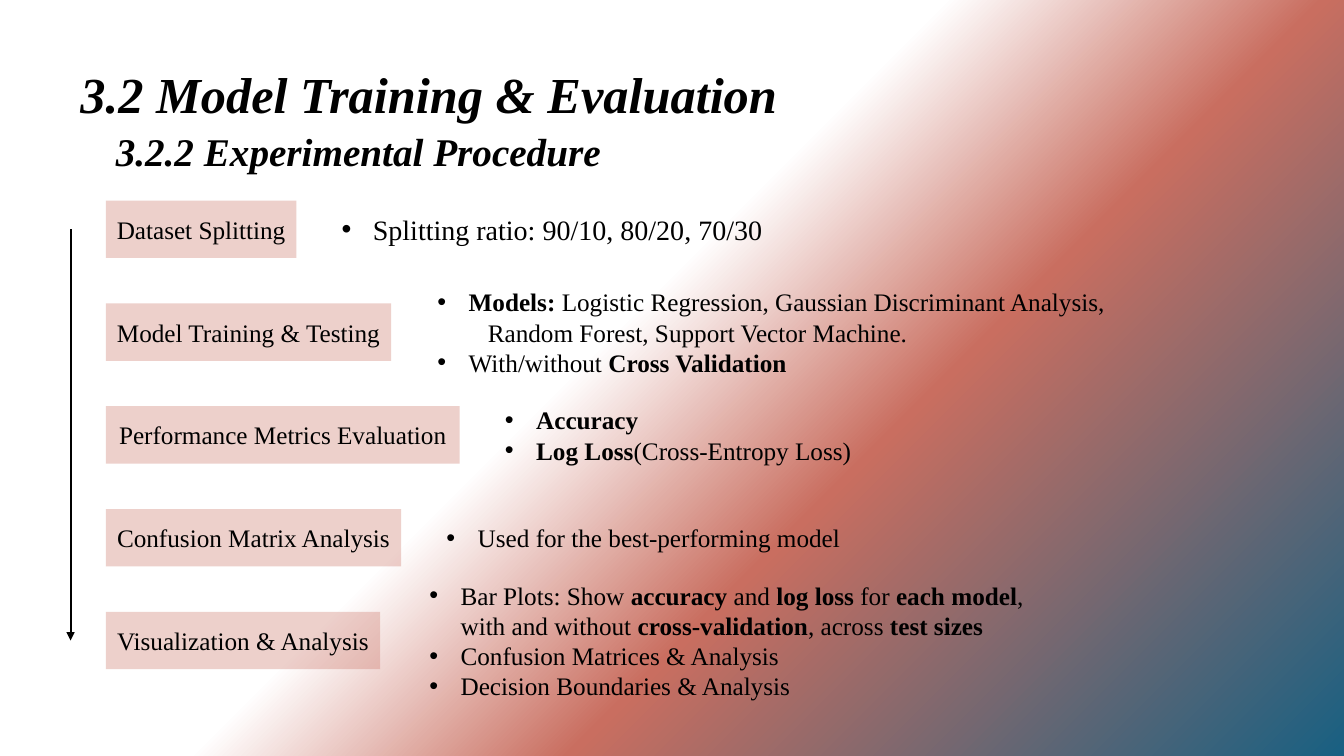
from pptx import Presentation
from pptx.dml.color import RGBColor
from pptx.enum.shapes import MSO_CONNECTOR as Connector, MSO_SHAPE as Shape
from pptx.enum.text import MSO_ANCHOR as Anchor, MSO_AUTO_SIZE as AutoSize, PP_ALIGN as Align
from pptx.oxml import parse_xml
from pptx.oxml.ns import nsdecls, qn
from pptx.util import Inches, Pt
from lxml.etree import SubElement

COLORS = {"ink": "000000", "white": "FFFFFF", "coral": "C96E60", "blue": "186082"}
FONT = "Times New Roman"
GRADIENT = [(45, "white", 100), (63, "coral", 31), (100, "blue", 52)]
HEADINGS = [
    ("3.2 Model Training & Evaluation", 36, (0.7, 0.58, 10.03, 0.71)),
    ("3.2.2 Experimental Procedure", 28, (1.05, 1.21, 7.97, 0.57)),
]
# Step, step width, gap, detail width, wrap, size, line count, details with **bold** parts
STEPS = [
    ("Dataset Splitting", 1.89, 0.35, 4.4, False, 20, 1,
     ["Splitting ratio: 90/10, 80/20, 70/30"]),
    ("Model Training & Testing", 2.83, 0.36, 7.41, True, 18, 3,
     ["**Models:** Logistic Regression, Gaussian Discriminant Analysis,\n"
      "\tRandom Forest, Support Vector Machine.",
      "With/without **Cross Validation**"]),
    ("Performance Metrics Evaluation", 3.51, 0.35, 7.41, True, 18, 2,
     ["**Accuracy**", "**Log Loss**(Cross-Entropy Loss)"]),
    ("Confusion Matrix Analysis", 2.93, 0.35, 4.15, False, 18, 1,
     ["Used for the best-performing model"]),
    ("Visualization & Analysis", 2.72, 0.39, 6.58, True, 18, 4,
     ["Bar Plots: Show **accuracy** and **log loss** for **each model**, "
      "with and without **cross-validation**, across **test sizes**",
      "Confusion Matrices & Analysis",
      "Decision Boundaries & Analysis"]),
]
ARROW_X, STEP_LEFT, STEP_TOP, STEP_HEIGHT, PITCH = 0.7, 1.05, 1.99, 0.57, 1.02
INDENT = Inches(0.31)


def paint_background(page):
    stops = "".join(
        f'<a:gs pos="{pos * 1000}"><a:srgbClr val="{COLORS[name]}">'
        f'<a:alpha val="{alpha * 1000}"/></a:srgbClr></a:gs>'
        for pos, name, alpha in GRADIENT)
    page.background.fill.solid()
    solid = page.element.xpath(".//p:bgPr/a:solidFill")[0]
    solid.getparent().replace(solid, parse_xml(
        f'<a:gradFill {nsdecls("a")} rotWithShape="1"><a:gsLst>{stops}</a:gsLst>'
        '<a:path path="circle"><a:fillToRect r="100000" b="100000"/></a:path></a:gradFill>'))


def add_bullet(para):
    props = para._p.get_or_add_pPr()
    props.set("marL", str(INDENT))
    props.set("indent", str(-INDENT))
    SubElement(props, qn("a:buFont")).set("typeface", "Arial")
    SubElement(props, qn("a:buChar")).set("char", "•")


def write(box, texts, size, bold=False, italic=False, bullet=False, align=Align.LEFT):
    for number, text in enumerate(texts):
        frame = box.text_frame
        para = frame.add_paragraph() if number else frame.paragraphs[0]
        para.alignment = align
        if bullet:
            add_bullet(para)
        for part, piece in enumerate(text.split("**")):
            for row, line in enumerate(piece.split("\n")):
                if row:
                    para.add_line_break()
                if not line:
                    continue
                span = para.add_run()
                span.text = line
                span.font.name = FONT
                span.font.size = Pt(size)
                span.font.bold = bold or part % 2 == 1
                span.font.italic = italic
                span.font.color.rgb = RGBColor.from_string(COLORS["ink"])


def add_text(page, place, texts, size, wrap=True, **style):
    box = page.shapes.add_textbox(*map(Inches, place))
    box.text_frame.word_wrap = wrap
    box.text_frame.auto_size = AutoSize.SHAPE_TO_FIT_TEXT
    write(box, texts, size, **style)


def add_step(page, place, label):
    box = page.shapes.add_shape(Shape.RECTANGLE, *map(Inches, place))
    box.shadow.inherit = False
    box.line.fill.background()
    box.fill.solid()
    box.fill.fore_color.rgb = RGBColor.from_string(COLORS["coral"])
    color = box.element.spPr.find(qn("a:solidFill"))[0]
    SubElement(color, qn("a:alpha")).set("val", "32000")
    box.text_frame.word_wrap = True
    box.text_frame.vertical_anchor = Anchor.MIDDLE
    write(box, [label], 18, align=Align.CENTER)


def add_arrow(page, x, top, bottom):
    arrow = page.shapes.add_connector(
        Connector.STRAIGHT, *map(Inches, (x, top, x, bottom)))
    arrow.line.width = Pt(1.5)
    arrow.line.color.rgb = RGBColor.from_string(COLORS["ink"])
    SubElement(arrow.line._get_or_add_ln(), qn("a:tailEnd")).set("type", "triangle")
    SubElement(arrow._element.spPr, qn("a:effectLst"))


def main():
    deck = Presentation()
    deck.slide_width, deck.slide_height = Inches(13.33), Inches(7.5)
    page = deck.slides.add_slide(deck.slide_layouts[6])
    paint_background(page)
    for text, size, place in HEADINGS:
        add_text(page, place, [text], size, bold=True, italic=True)

    centers = [STEP_TOP + STEP_HEIGHT / 2 + PITCH * row for row in range(len(STEPS))]
    add_arrow(page, ARROW_X, centers[0], centers[-1])
    for center, step in zip(centers, STEPS):
        label, width, gap, detail_width, wrap, size, lines, details = step
        add_step(page, (STEP_LEFT, center - STEP_HEIGHT / 2, width, STEP_HEIGHT), label)
        height = 0.1 + lines * size / 60
        place = (STEP_LEFT + width + gap, center - height / 2, detail_width, height)
        add_text(page, place, details, size, wrap=wrap, bullet=True)
    deck.save("out.pptx")


if __name__ == "__main__":
    main()
